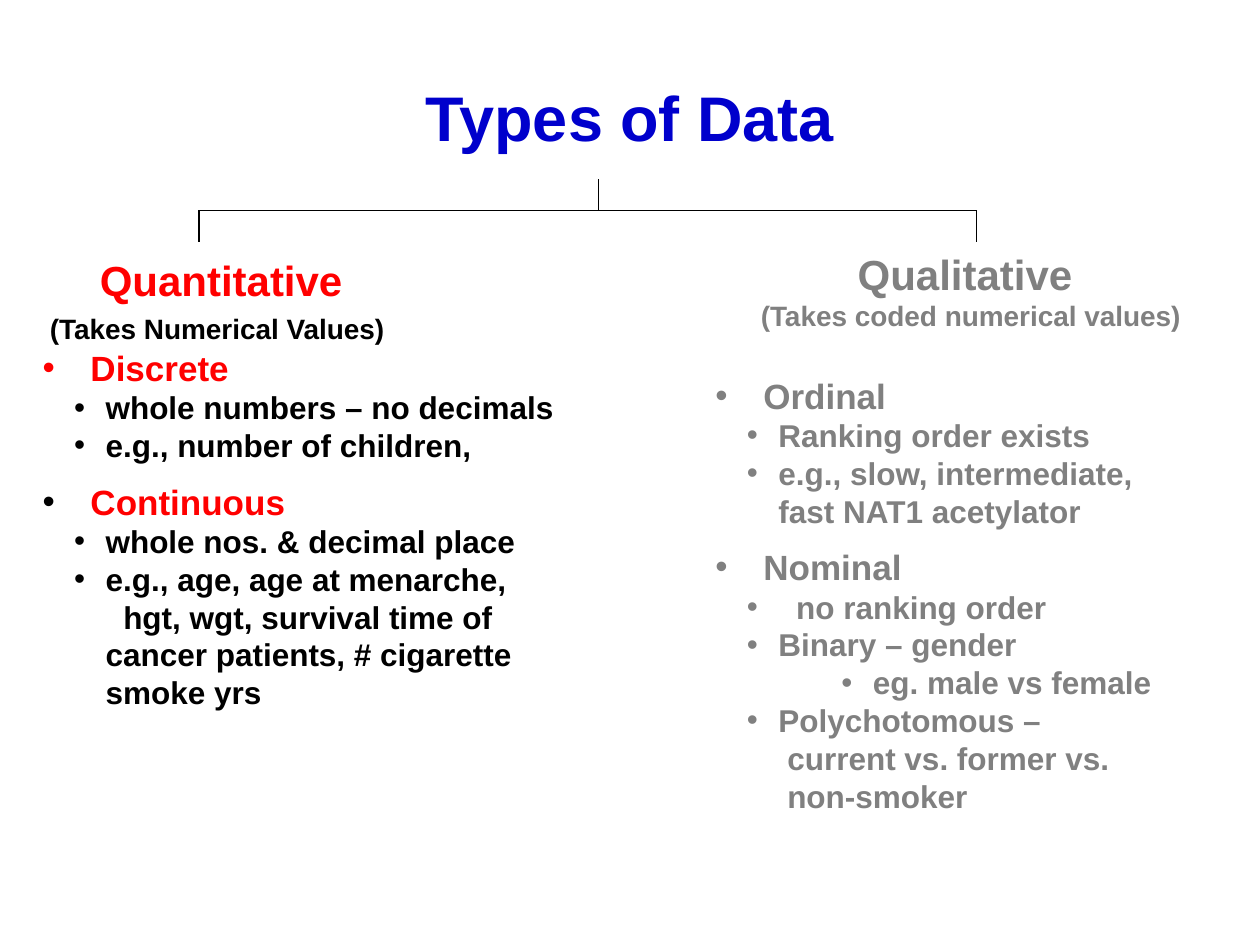
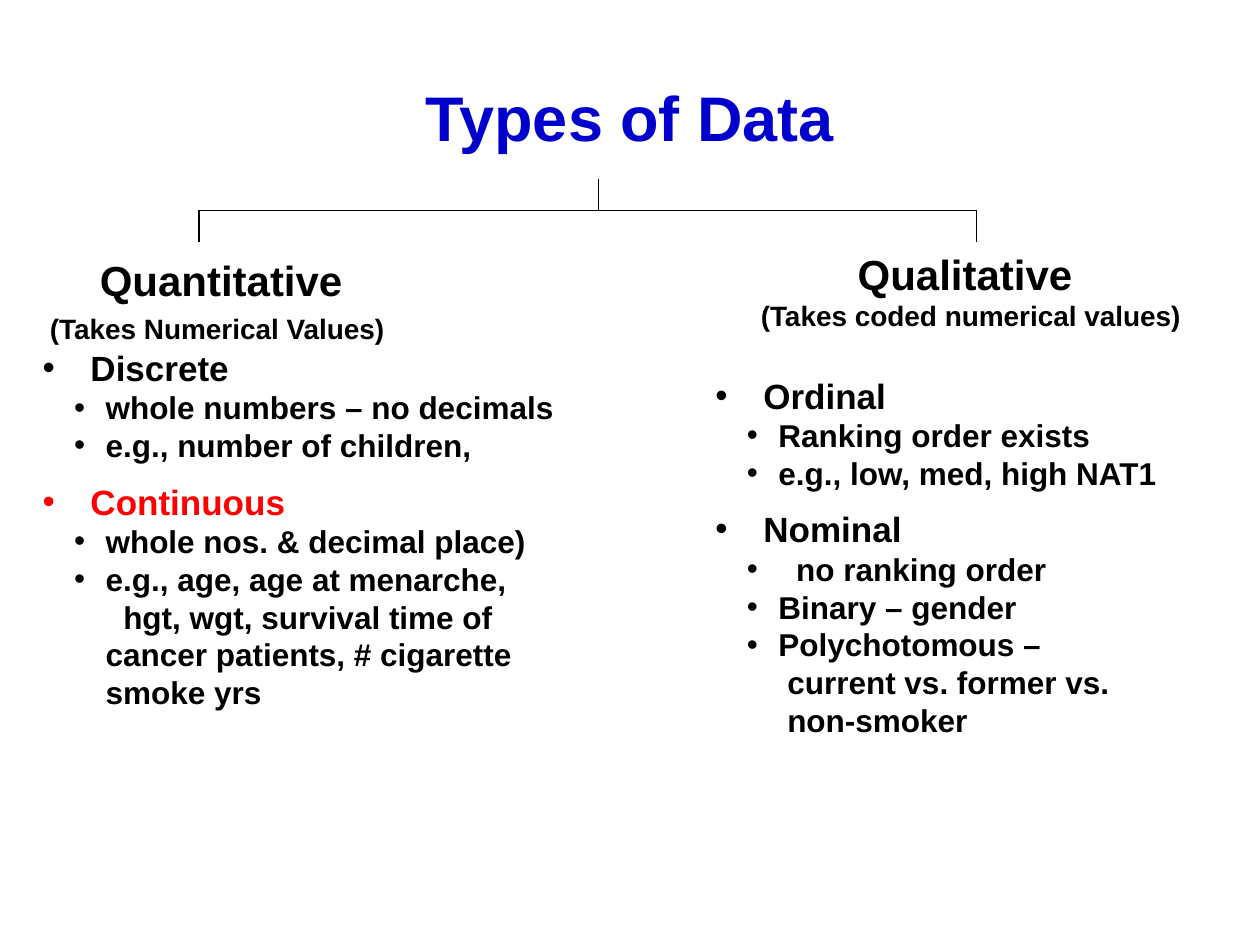
import pptx
import pptx.util
import pptx.dml.color
import pptx.enum.shapes
import pptx.enum.text
import pptx.oxml
import pptx.oxml.ns
from dataclasses import dataclass
from lxml import etree

Inches, Pt = pptx.util.Inches, pptx.util.Pt
qn = pptx.oxml.ns.qn


@dataclass(frozen=True)
class Theme:
    font: str = "Arial"
    blue: str = "0000CC"
    red: str = "FF0000"
    grey: str = "808080"
    black: str = "000000"
    title: int = 36
    branch: int = 24
    category: int = 20
    detail: int = 18
    caption: int = 16
    rule: float = 0.75


theme = Theme()

# Outline styles: level, text indent, bullet hang (0 = no bullet), size
STYLES = {
    "category": (0, 0.38, 0.38, theme.category),
    "detail": (1, 0.5, 0.25, theme.detail),
    "wide detail": (1, 0.64, 0.39, theme.detail),
    "example": (2, 1.25, 0.25, theme.detail),
    "more": (1, 0.5, 0, theme.detail),
    "more, inset": (1, 0.57, 0, theme.detail),
    "more, deep": (1, 0.64, 0, theme.detail),
}
CATEGORY_GAP = 9.2


def set_font(paragraph, size, color):
    font = paragraph.font
    font.name, font.size, font.bold = theme.font, Pt(size), True
    font.color.rgb = pptx.dml.color.RGBColor.from_string(color)


def add_lines(slide, box, lines):
    """Add a text box of (style, text, colour, bullet colour) lines."""
    frame = slide.shapes.add_textbox(*map(Inches, box)).text_frame
    frame.word_wrap = True
    frame.auto_size = pptx.enum.text.MSO_AUTO_SIZE.SHAPE_TO_FIT_TEXT
    for number, (style, text, color, bullet_color) in enumerate(lines):
        paragraph = frame.add_paragraph() if number else frame.paragraphs[0]
        paragraph.text = text
        if style in STYLES:
            level, indent, hang, size = STYLES[style]
            paragraph.level = level
            props = paragraph._p.get_or_add_pPr()
            props.set("marL", str(Inches(indent)))
            props.set("indent", str(-Inches(hang)))
            if hang:
                bullet = etree.SubElement(props, qn("a:buClr"))
                etree.SubElement(bullet, qn("a:srgbClr"), val=bullet_color)
                etree.SubElement(props, qn("a:buFont"), typeface=theme.font)
                etree.SubElement(props, qn("a:buChar"), char="•")
            if style == "category" and number:
                paragraph.space_before = Pt(CATEGORY_GAP)
        else:
            size = style
            paragraph.alignment = pptx.enum.text.PP_ALIGN.CENTER
        set_font(paragraph, size, color)
    return frame


# Wording that changes from slide to slide
slides = [
    dict(
        quantitative=theme.red, qualitative=theme.grey,
        discrete=theme.red, continuous_bullet=theme.black,
        decimals="whole nos. & decimal place",
        ranking="e.g., slow, intermediate, fast NAT1 acetylator",
        binary_examples=["eg. male vs female"], heights=(3.64, 4.95),
    ),
    dict(
        quantitative=theme.black, qualitative=theme.black,
        discrete=theme.black, continuous_bullet=theme.red,
        decimals="whole nos. & decimal place)",
        ranking="e.g., low, med, high NAT1",
        binary_examples=[], heights=(3.64, 4.3),
    ),
]

# Tree under the title
LEFT, STEM, RIGHT = 1.58, 4.75, 7.75
BAR, DROP = 1.67, 0.25
tree = [
    (LEFT, BAR, RIGHT, BAR),
    (STEM, BAR, STEM, BAR - DROP),
    (LEFT, BAR + DROP, LEFT, BAR),
    (RIGHT, BAR + DROP, RIGHT, BAR),
]

deck = pptx.Presentation()
deck.slide_width, deck.slide_height = Inches(10), Inches(7.5)

for content in slides:
    slide = deck.slides.add_slide(deck.slide_layouts[5])

    # Title
    title = slide.shapes.title
    title.left, title.top, title.width, title.height = map(Inches, (0.5, 0.3, 9, 1.25))
    title.text_frame.text = "Types of Data"
    title.text_frame.vertical_anchor = pptx.enum.text.MSO_ANCHOR.MIDDLE
    title.text_frame.paragraphs[0].alignment = pptx.enum.text.PP_ALIGN.CENTER
    set_font(title.text_frame.paragraphs[0], theme.title, theme.blue)

    # Tree lines
    for ends in tree:
        branch = slide.shapes.add_connector(
            pptx.enum.shapes.MSO_CONNECTOR.STRAIGHT, *map(Inches, ends))
        branch.line.color.rgb = pptx.dml.color.RGBColor.from_string(theme.black)
        branch.line.width = Pt(theme.rule)
        etree.SubElement(branch._element.spPr, qn("a:effectLst"))

    # Branch headings
    black, grey = theme.black, content["qualitative"]
    quantitative = add_lines(slide, (0.27, 1.97, 2.97, 0.83), [
        (theme.branch, "Quantitative", content["quantitative"], None),
        (theme.caption, "(Takes Numerical Values) ", black, None),
    ])
    quantitative.paragraphs[1].space_before = Pt(3.6)
    add_lines(slide, (5.58, 1.92, 4.25, 0.77), [
        (theme.branch, "Qualitative ", grey, None),
        (theme.caption, "(Takes coded numerical values)", grey, None),
    ])

    # Outlines under the two branches
    left_height, right_height = content["heights"]
    discrete = content["discrete"]
    add_lines(slide, (0.24, 2.7, 4.34, left_height), [
        ("category", "Discrete", discrete, discrete),
        ("detail", "whole numbers – no decimals", black, black),
        ("detail", "e.g., number of children,", black, black),
        ("category", "Continuous", theme.red, content["continuous_bullet"]),
        ("detail", content["decimals"], black, black),
        ("detail", "e.g., age, age at menarche,", black, black),
        ("more, deep", "hgt, wgt, survival time of", black, None),
        ("more", "cancer patients, # cigarette", black, None),
        ("more", "smoke yrs", black, None),
    ])
    qualitative = [
        ("category", "Ordinal"),
        ("detail", "Ranking order exists"),
        ("detail", content["ranking"]),
        ("category", "Nominal"),
        ("wide detail", "no ranking order"),
        ("detail", "Binary – gender"),
        *[("example", example) for example in content["binary_examples"]],
        ("detail", "Polychotomous –"),
        ("more, inset", "current vs. former vs."),
        ("more, inset", "non-smoker"),
    ]
    add_lines(slide, (5.58, 2.92, 3.92, right_height),
              [(style, text, grey, grey) for style, text in qualitative])

deck.save("out.pptx")
